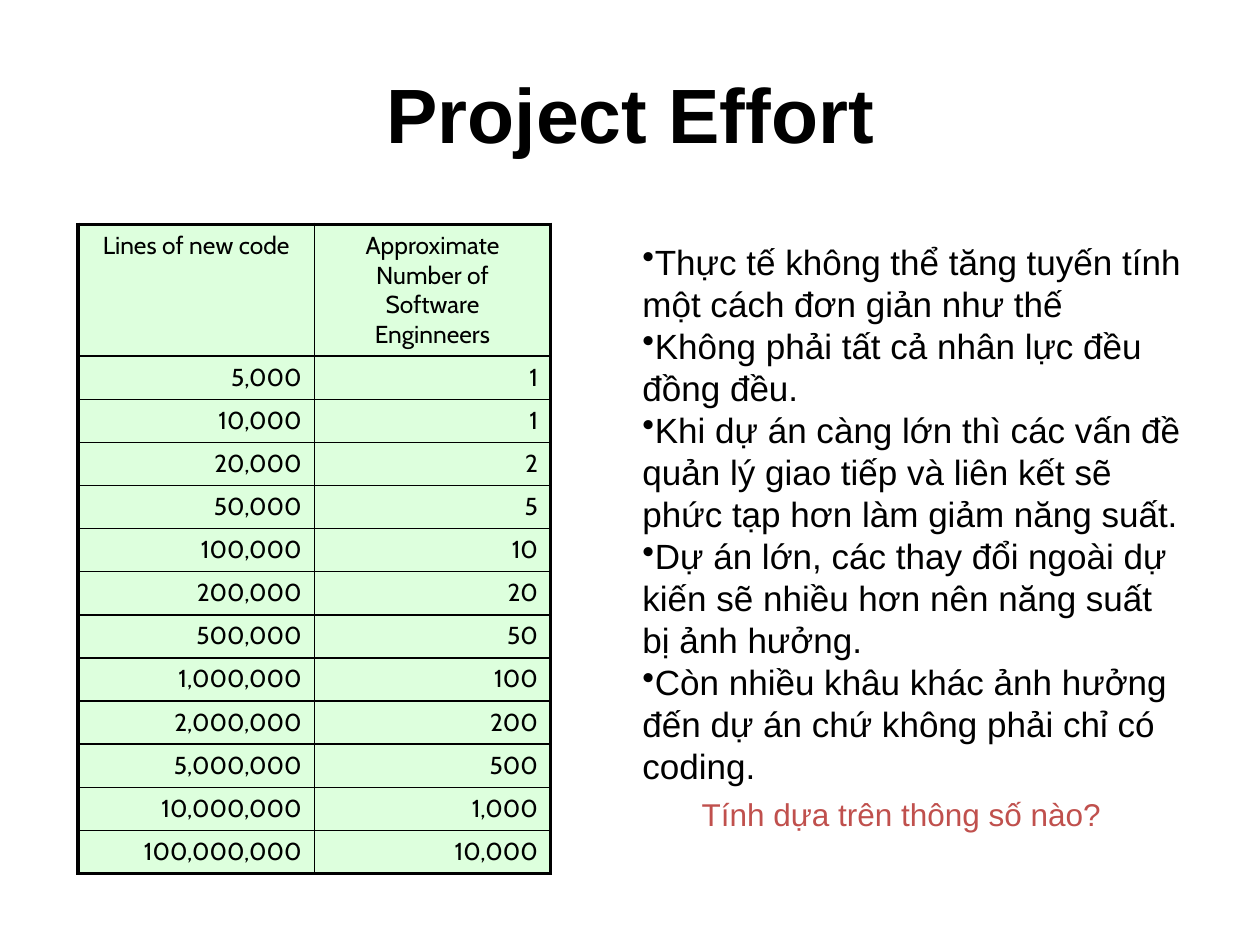
from lxml.etree import SubElement
from pptx import Presentation
from pptx.dml.color import RGBColor
from pptx.enum.text import MSO_ANCHOR, MSO_AUTO_SIZE, PP_ALIGN as Align
from pptx.oxml.ns import qn
from pptx.util import Inches, Pt

BLACK = RGBColor(0x00, 0x00, 0x00)
RED = RGBColor(0xC0, 0x50, 0x4D)
MINT = RGBColor(0xDD, 0xFF, 0xDD)
THICK, THIN = Pt(2.25), Pt(1)

HEADERS = ("Lines of new code", "Approximate Number of Software Enginneers")
EFFORT = [
    ("5,000", "1"),
    ("10,000", "1"),
    ("20,000", "2"),
    ("50,000", "5"),
    ("100,000", "10"),
    ("200,000", "20"),
    ("500,000", "50"),
    ("1,000,000", "100"),
    ("2,000,000", "200"),
    ("5,000,000", "500"),
    ("10,000,000", "1,000"),
    ("100,000,000", "10,000"),
]
REMARKS = [
    "Thực tế không thể tăng tuyến tính một cách đơn giản như thế",
    "Không phải tất cả nhân lực đều đồng đều.",
    "Khi dự án càng lớn thì các vấn đề quản lý giao tiếp và liên kết sẽ "
    "phức tạp hơn làm giảm năng suất.",
    "Dự án lớn, các thay đổi ngoài dự kiến sẽ nhiều hơn nên năng suất bị ảnh hưởng.",
    "Còn nhiều khâu khác ảnh hưởng đến dự án chứ không phải chỉ có coding.",
]
QUESTION = "Tính dựa trên thông số nào?"


def write(p, text, size, font="Arial", color=BLACK, bold=False, align=Align.LEFT, bullet=None):
    """Fill a paragraph with one formatted run and an optional bullet."""
    p.alignment = align
    r = p.add_run()
    r.text = text
    r.font.size, r.font.name, r.font.bold = Pt(size), font, bold
    r.font.color.rgb = color
    if bullet:
        SubElement(p._p.get_or_add_pPr(), qn("a:buChar"), char=bullet)


def set_borders(cell, **widths):
    """Draw black cell borders with widths keyed by side L, R, T and B."""
    tc_pr = cell._tc.get_or_add_tcPr()
    for side in "LRTB":
        ln = SubElement(tc_pr, qn(f"a:ln{side}"), w=str(widths[side]))
        fill = SubElement(ln, qn("a:solidFill"))
        SubElement(fill, qn("a:srgbClr"), val=str(BLACK))


def add_title(slide, box):
    """Place and format the title placeholder."""
    title = slide.shapes.title
    title.left, title.top, title.width, title.height = box
    tf = title.text_frame
    tf.vertical_anchor = MSO_ANCHOR.MIDDLE
    write(tf.paragraphs[0], "Project Effort", 44, bold=True, align=Align.CENTER)


def add_effort_table(slide, box, header_height):
    """Add the code size table with a thick outer frame."""
    rows = [HEADERS, *EFFORT]
    last_row, last_col = len(rows) - 1, len(HEADERS) - 1
    table = slide.shapes.add_table(len(rows), len(HEADERS), *box).table
    for column in table.columns:
        column.width = box[2] // len(HEADERS)
    for i, values in enumerate(rows):
        table.rows[i].height = (box[3] - header_height) // last_row if i else header_height
        for j, value in enumerate(values):
            cell = table.cell(i, j)
            set_borders(
                cell,
                L=THIN if j else THICK,
                R=THICK if j == last_col else THIN,
                T=THIN if i else THICK,
                B=THICK if i == last_row else THIN,
            )
            cell.fill.solid()
            cell.fill.fore_color.rgb = MINT
            write(cell.text_frame.paragraphs[0], value, 14, font="Cabin",
                  align=Align.RIGHT if i else Align.CENTER)


def add_text_box(slide, box, lines, wrap=True, **style):
    """Add a text box with one paragraph per line."""
    tf = slide.shapes.add_textbox(*box).text_frame
    tf.word_wrap = wrap
    tf.auto_size = MSO_AUTO_SIZE.SHAPE_TO_FIT_TEXT
    for i, line in enumerate(lines):
        write(tf.add_paragraph() if i else tf.paragraphs[0], line, **style)


def inches(*lengths):
    """Turn numbers into lengths in inches."""
    return [Inches(length) for length in lengths]


def main():
    """Build the slide and save it."""
    prs = Presentation()
    prs.slide_width, prs.slide_height = inches(10, 7.5)
    slide = prs.slides.add_slide(prs.slide_layouts[5])
    add_title(slide, inches(0.63, 0.33, 8.75, 1.13))
    add_effort_table(slide, inches(0.62, 1.78, 3.75, 5.14), Inches(1.03))
    add_text_box(slide, inches(5, 1.86, 4.49, 4.48), REMARKS, size=20, bullet="•")
    add_text_box(slide, inches(5.47, 6.26, 3.4, 0.4), [QUESTION], wrap=False, size=18, color=RED)
    prs.save("out.pptx")


if __name__ == "__main__":
    main()
